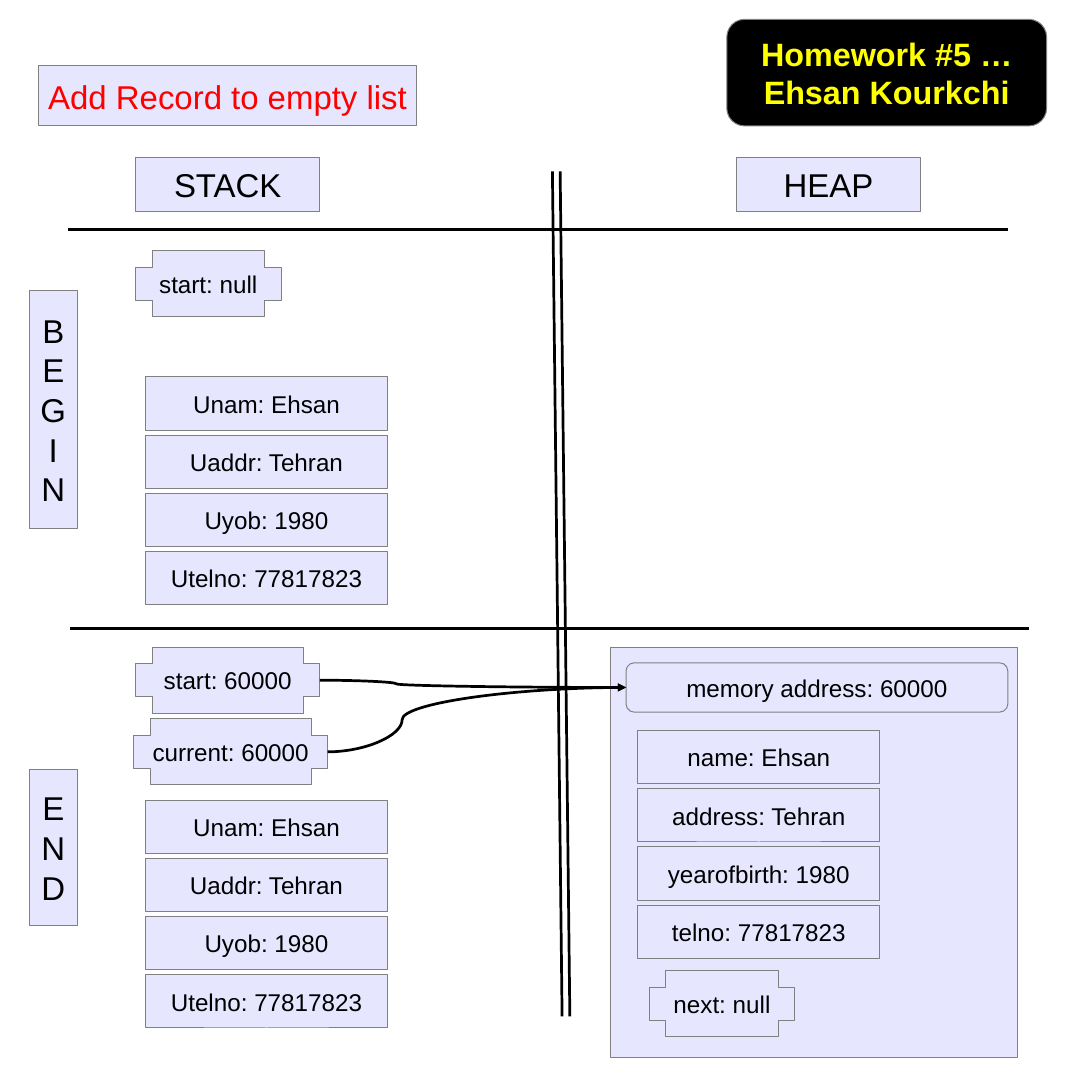
from dataclasses import dataclass

from lxml import etree
from pptx import Presentation
from pptx import util as u
from pptx.dml.color import RGBColor
from pptx.enum import shapes, text
from pptx.oxml import ns
from pptx.shapes.autoshape import Shape
from pptx.shapes.connector import Connector
from pptx.slide import Slide

PALE = RGBColor(0xE6, 0xE6, 0xFF)
GRAY = RGBColor(0x80, 0x80, 0x80)
BLACK = RGBColor(0, 0, 0)
RED = RGBColor(0xFF, 0, 0)
YELLOW = RGBColor(0xFF, 0xFF, 0)

RECT = shapes.MSO_SHAPE.RECTANGLE
ROUND = shapes.MSO_SHAPE.ROUNDED_RECTANGLE
PLUS = shapes.MSO_SHAPE.CROSS
STRAIGHT = shapes.MSO_CONNECTOR.STRAIGHT
CURVE = shapes.MSO_CONNECTOR.CURVE
ADJUST = {ROUND: 0.167, PLUS: 0.25}

BODY = {"name": "Arial", "size": u.Pt(18)}
HEAD = {"name": "Arial", "size": u.Pt(24.5)}
BADGE = {"name": "Arial", "size": u.Pt(24), "bold": True}
FRAME = {
    "word_wrap": False,
    "vertical_anchor": text.MSO_ANCHOR.MIDDLE,
    "margin_left": u.Inches(0.1),
    "margin_right": u.Inches(0.1),
    "margin_top": u.Inches(0.05),
    "margin_bottom": u.Inches(0.05),
}
ROW_STEP = 0.6


@dataclass
class Box:
    label: str
    left: float
    top: float
    width: float
    height: float
    kind: shapes.MSO_SHAPE = RECT
    font: dict | None = None
    ink: RGBColor = BLACK
    fill: RGBColor = PALE


@dataclass
class Rule:
    left: float
    top: float
    right: float
    bottom: float


@dataclass
class Stack:
    left: float
    top: float
    labels: list[str]


USER = ["Unam: Ehsan", "Uaddr: Tehran", "Uyob: 1980", "Utelno: 77817823"]
RECORD = ["name: Ehsan", "address: Tehran", "yearofbirth: 1980", "telno: 77817823"]

RULES = [
    Rule(5.7, 1.77, 5.8, 10.49),
    Rule(5.78, 1.77, 5.88, 10.49),
    Rule(0.7, 2.37, 10.4, 2.37),
    Rule(0.72, 6.49, 10.62, 6.49),
]
BOXES = [
    Box("Add Record to empty list", 0.4, 0.68, 3.9, 0.62, font=HEAD, ink=RED),
    Box("Homework #5 …\nEhsan Kourkchi", 7.5, 0.2, 3.3, 1.1, ROUND, BADGE, YELLOW, BLACK),
    Box("STACK", 1.4, 1.63, 1.9, 0.55, font=HEAD),
    Box("HEAP", 7.6, 1.63, 1.9, 0.55, font=HEAD),
    Box("\n".join("BEGIN"), 0.3, 3, 0.5, 2.45, font=HEAD),
    Box("\n".join("END"), 0.3, 7.94, 0.5, 1.61, font=HEAD),
    Box("", 6.3, 6.68, 4.2, 4.23),
    Box("start: null", 1.4, 2.59, 1.5, 0.68, PLUS),
    Box("next: null", 6.7, 10.02, 1.5, 0.68, PLUS),
]
TARGET = Box("memory address: 60000", 6.46, 6.84, 3.94, 0.51, ROUND)
SOURCES = [
    Box("start: 60000", 1.4, 6.68, 1.9, 0.68, PLUS),
    Box("current: 60000", 1.38, 7.42, 2, 0.68, PLUS),
]
STACKS = [Stack(1.5, 3.89, USER), Stack(1.5, 8.26, USER), Stack(6.58, 7.54, RECORD)]


def apply(item: object, values: dict) -> None:
    for key, value in values.items():
        setattr(item, key, value)


def draw_box(slide: Slide, box: Box) -> Shape:
    shape = slide.shapes.add_shape(
        box.kind, *map(u.Inches, (box.left, box.top, box.width, box.height))
    )
    shape.shadow.inherit = False
    shape.fill.solid()
    shape.fill.fore_color.rgb = box.fill
    shape.line.color.rgb = GRAY
    shape.line.width = u.Pt(0)
    if box.kind in ADJUST:
        shape.adjustments[0] = ADJUST[box.kind]
    if box.label:
        frame = shape.text_frame
        apply(frame, FRAME)
        frame.text = box.label
        for para in frame.paragraphs:
            para.alignment = text.PP_ALIGN.CENTER
            for run in para.runs:
                apply(run.font, box.font or BODY)
                run.font.color.rgb = box.ink
    return shape


def draw_line(slide: Slide, kind: shapes.MSO_CONNECTOR, rule: Rule) -> Connector:
    line = slide.shapes.add_connector(
        kind, *map(u.Inches, (rule.left, rule.top, rule.right, rule.bottom))
    )
    line.line.color.rgb = BLACK
    line.line.width = u.Pt(0)
    etree.SubElement(line.element.spPr, ns.qn("a:effectLst"))
    return line


def draw_arrow(slide: Slide, start: Shape, end: Shape) -> None:
    arrow = draw_line(slide, CURVE, Rule(0, 0, 1, 1))
    arrow.begin_connect(start, 3)
    arrow.end_connect(end, 1)
    props = arrow.element.spPr
    bend = props.find(".//" + ns.qn("a:avLst"))
    etree.SubElement(bend, ns.qn("a:gd"), name="adj1", fmla="val 25000")
    etree.SubElement(props.find(ns.qn("a:ln")), ns.qn("a:tailEnd"), type="triangle")


def draw_stack(slide: Slide, stack: Stack) -> None:
    for row, label in enumerate(stack.labels):
        draw_box(slide, Box(label, stack.left, stack.top + row * ROW_STEP, 2.5, 0.55))


def main() -> None:
    deck = Presentation()
    apply(deck, {"slide_width": u.Inches(11.02), "slide_height": u.Inches(11.27)})
    slide = deck.slides.add_slide(deck.slide_layouts[6])
    for rule in RULES:
        draw_line(slide, STRAIGHT, rule)
    for box in BOXES:
        draw_box(slide, box)
    for stack in STACKS:
        draw_stack(slide, stack)
    target = draw_box(slide, TARGET)
    starts = [draw_box(slide, box) for box in SOURCES]
    for start in starts:
        draw_arrow(slide, start, target)
    deck.save("out.pptx")


if __name__ == "__main__":
    main()
